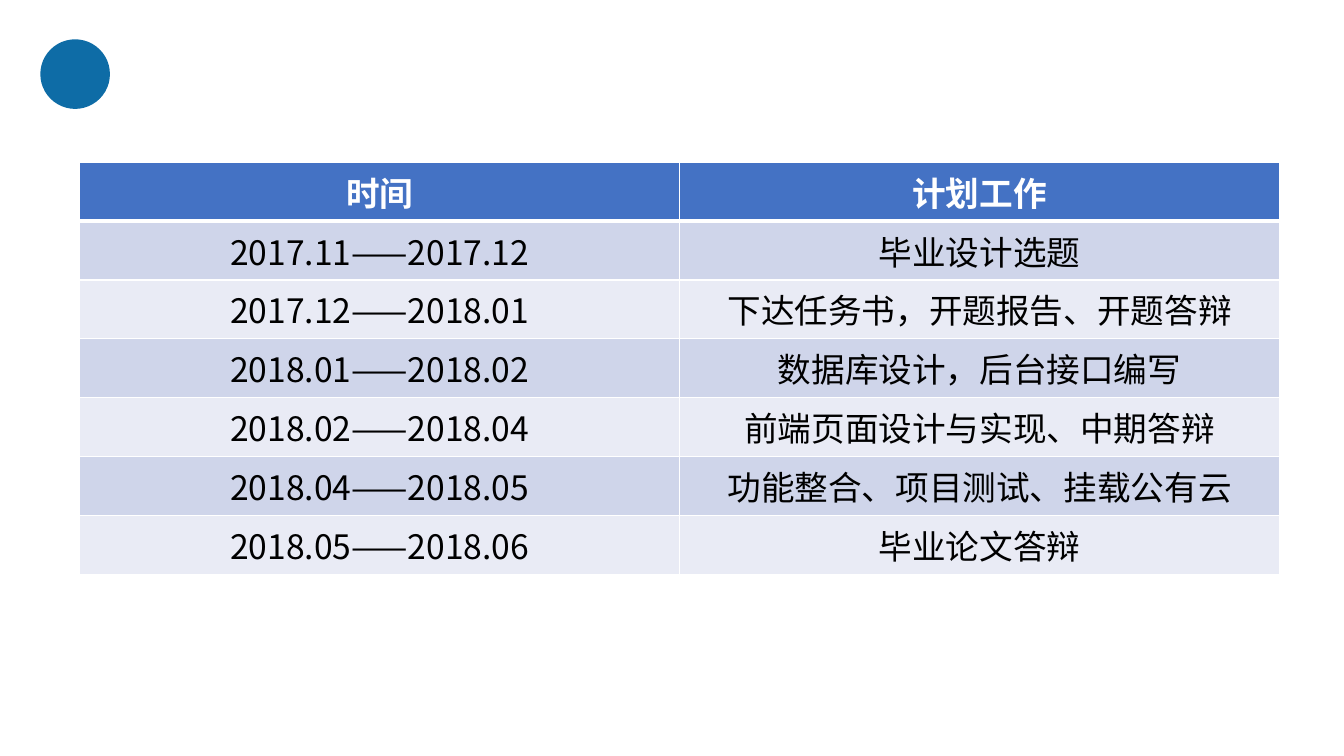
from lxml import etree
from pptx import Presentation
from pptx.dml.color import RGBColor
from pptx.enum import shapes, text
from pptx.oxml import ns
from pptx.util import Inches, Pt

# Content
SCHEDULE = [
    ("时间", "计划工作"),
    ("2017.11——2017.12", "毕业设计选题"),
    ("2017.12——2018.01", "下达任务书，开题报告、开题答辩"),
    ("2018.01——2018.02", "数据库设计，后台接口编写"),
    ("2018.02——2018.04", "前端页面设计与实现、中期答辩"),
    ("2018.04——2018.05", "功能整合、项目测试、挂载公有云"),
    ("2018.05——2018.06", "毕业论文答辩"),
]
ROW_HEIGHTS = [0.42] + [0.5] * 3 + [0.56] * 3
COLUMN_WIDTH = 5.95

# Style
FONT = "Noto Sans CJK SC"
WHITE = RGBColor(0xFF, 0xFF, 0xFF)
BLACK = RGBColor(0x00, 0x00, 0x00)
DOT_BLUE = RGBColor(0x0E, 0x6C, 0xA6)
HEADER_BLUE = RGBColor(0x44, 0x72, 0xC4)
BANDS = [RGBColor(0xE9, 0xEB, 0xF5), RGBColor(0xCF, 0xD5, 0xEA)]


def set_borders(cell, row):
    """Draw white cell edges, thicker between the header and the body."""
    widths = {"L": 1, "R": 1, "T": 3 if row == 1 else 1, "B": 3 if row == 0 else 1}
    properties = cell._tc.get_or_add_tcPr()
    for position, (side, width) in enumerate(widths.items()):
        edge = etree.Element(ns.qn(f"a:ln{side}"), w=str(Pt(width)))
        fill = etree.SubElement(edge, ns.qn("a:solidFill"))
        etree.SubElement(fill, ns.qn("a:srgbClr"), val=str(WHITE))
        properties.insert(position, edge)


def fill_cell(cell, words, row):
    is_header = row == 0
    cell.fill.solid()
    cell.fill.fore_color.rgb = HEADER_BLUE if is_header else BANDS[row % 2]
    set_borders(cell, row)
    paragraph = cell.text_frame.paragraphs[0]
    paragraph.alignment = text.PP_ALIGN.CENTER
    run = paragraph.add_run()
    run.text = words
    run.font.size = Pt(24)
    run.font.bold = is_header
    run.font.color.rgb = WHITE if is_header else BLACK
    run.font.name = FONT
    etree.SubElement(run._r.get_or_add_rPr(), ns.qn("a:ea"), typeface=FONT)


def main():
    prs = Presentation()
    prs.slide_width, prs.slide_height = Inches(13.33), Inches(7.5)
    slide = prs.slides.add_slide(prs.slide_layouts[6])

    # Corner dot
    dot = slide.shapes.add_shape(
        shapes.MSO_SHAPE.OVAL, Inches(0.4), Inches(0.39), Inches(0.69), Inches(0.69))
    dot.shadow.inherit = False
    dot.fill.solid()
    dot.fill.fore_color.rgb = DOT_BLUE
    dot.line.fill.background()

    # Schedule table
    columns = len(SCHEDULE[0])
    schedule = slide.shapes.add_table(
        len(SCHEDULE), columns, Inches(0.79), Inches(1.61),
        Inches(COLUMN_WIDTH * columns), Inches(sum(ROW_HEIGHTS))).table
    for column in schedule.columns:
        column.width = Inches(COLUMN_WIDTH)
    for row, (entry, height) in enumerate(zip(SCHEDULE, ROW_HEIGHTS)):
        schedule.rows[row].height = Inches(height)
        for column, words in enumerate(entry):
            fill_cell(schedule.cell(row, column), words, row)

    prs.save("out.pptx")


if __name__ == "__main__":
    main()
